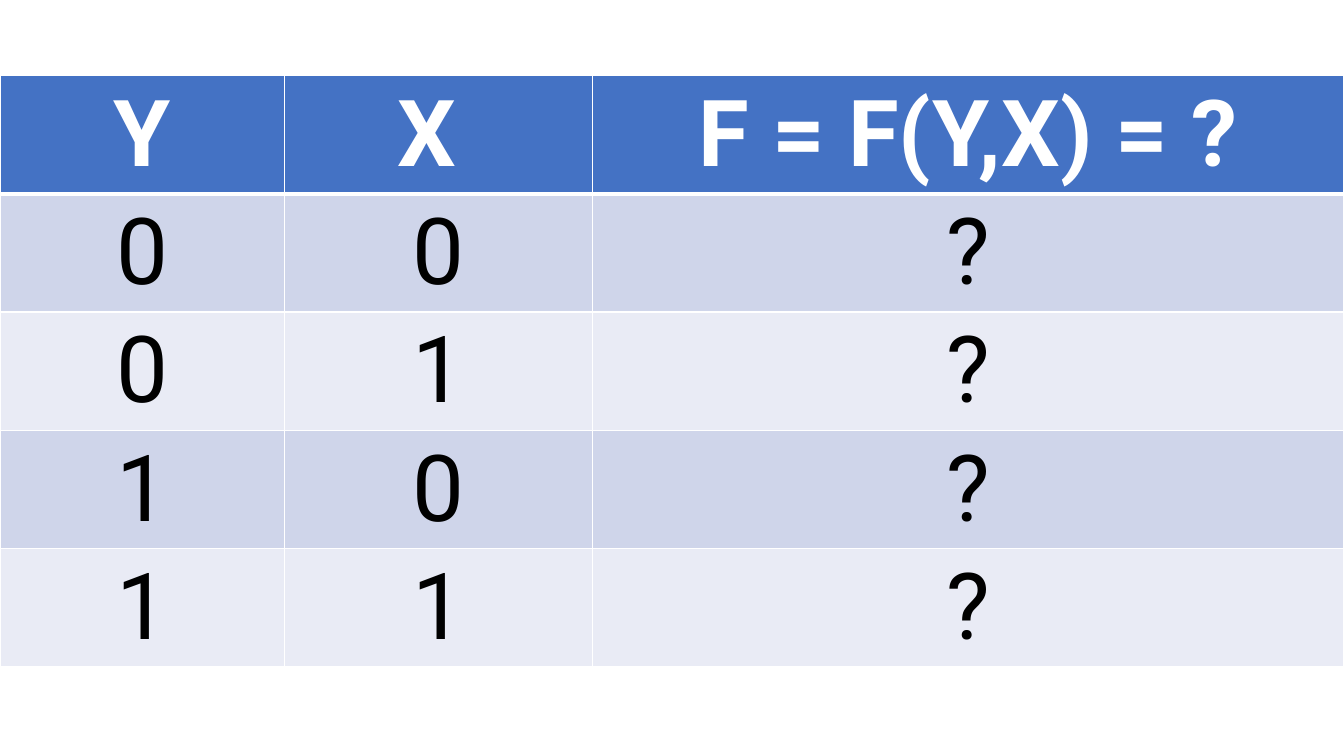
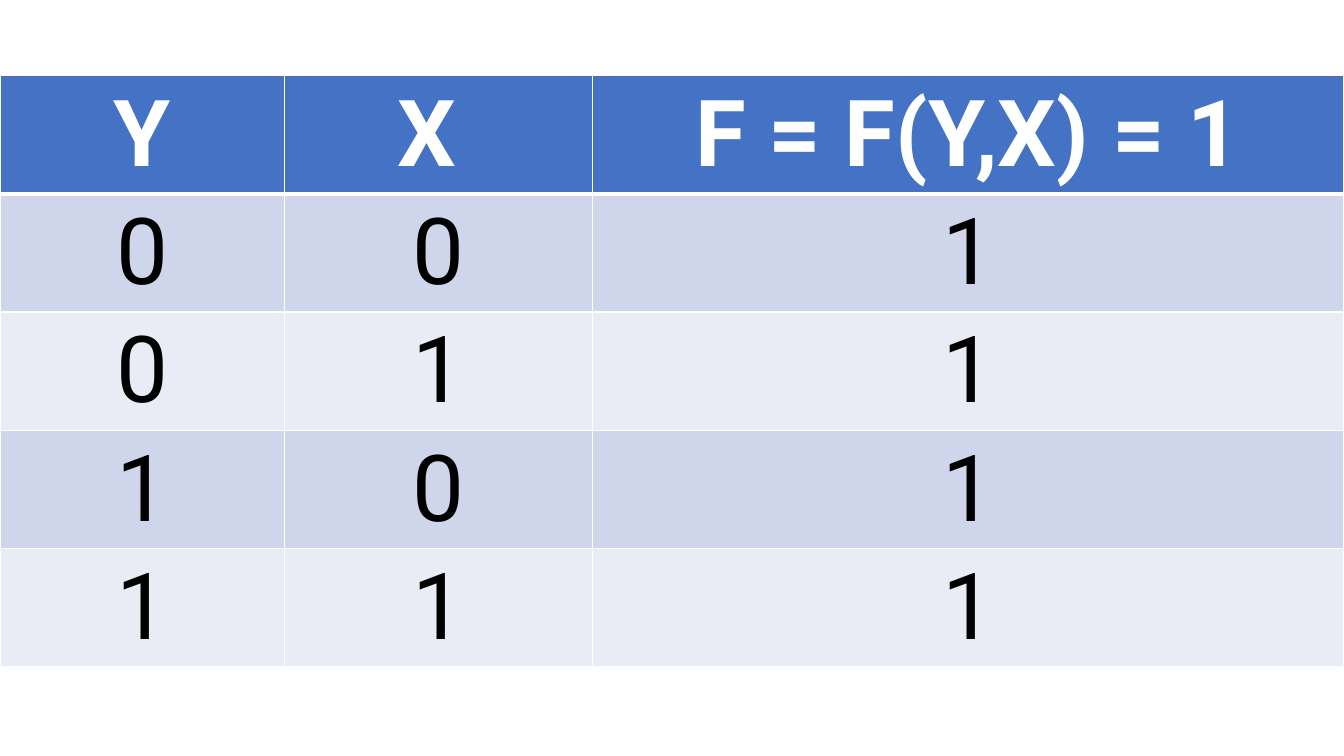
import lxml.etree
import pptx
import pptx.dml.color
import pptx.enum.text
import pptx.oxml.ns
import pptx.util

Cm, Pt = pptx.util.Cm, pptx.util.Pt
qn = pptx.oxml.ns.qn


def tint(code):
    return pptx.dml.color.RGBColor.from_string(code)


def edge(cell, side, width, code):
    line = lxml.etree.SubElement(
        cell._tc.get_or_add_tcPr(), qn("a:" + side), w=str(Pt(width)))
    fill = lxml.etree.SubElement(line, qn("a:solidFill"))
    lxml.etree.SubElement(fill, qn("a:srgbClr"), val=code)


# Shared look
white, black, blue = "FFFFFF", "000000", "4472C4"
bands = ["CFD5EA", "E9EBF5"]
base = {"name": "Roboto", "size": Pt(66)}
head = {**base, "bold": True}
body = {**base, "bold": False}
widths = [7.16, 7.77, 18.94]
high = 2.98
inputs = [("0", "0"), ("0", "1"), ("1", "0"), ("1", "1")]

deck = pptx.Presentation()
deck.slide_width, deck.slide_height = Cm(33.87), Cm(19.05)

# One truth table per slide, with a constant result
for result in ["?", "1"]:
    slide = deck.slides.add_slide(deck.slide_layouts[6])
    rows = [("Y", "X ", f"F = F(Y,X) = {result}")]
    rows += [(*pair, result) for pair in inputs]
    table = slide.shapes.add_table(
        len(rows), len(widths), Cm(0), Cm(1.9),
        Cm(sum(widths)), Cm(high * len(rows))).table
    for column, width in zip(table.columns, widths):
        column.width = Cm(width)

    for r, row in enumerate(rows):
        top = r == 0
        for c, text in enumerate(row):
            cell = table.cell(r, c)

            # Borders come before the fill; a thick rule closes the header
            thick = {"lnT": 3 if r == 1 else 1, "lnB": 3 if top else 1}
            for side in ["lnL", "lnR", "lnT", "lnB"]:
                edge(cell, side, thick.get(side, 1), white)
            cell.fill.solid()
            cell.fill.fore_color.rgb = tint(blue if top else bands[(r - 1) % 2])

            # Text
            cell.text = text
            para = cell.text_frame.paragraphs[0]
            para.alignment = pptx.enum.text.PP_ALIGN.CENTER
            font = para.runs[0].font
            for key, value in (head if top else body).items():
                setattr(font, key, value)
            font.color.rgb = tint(white if top else black)

deck.save("out.pptx")
